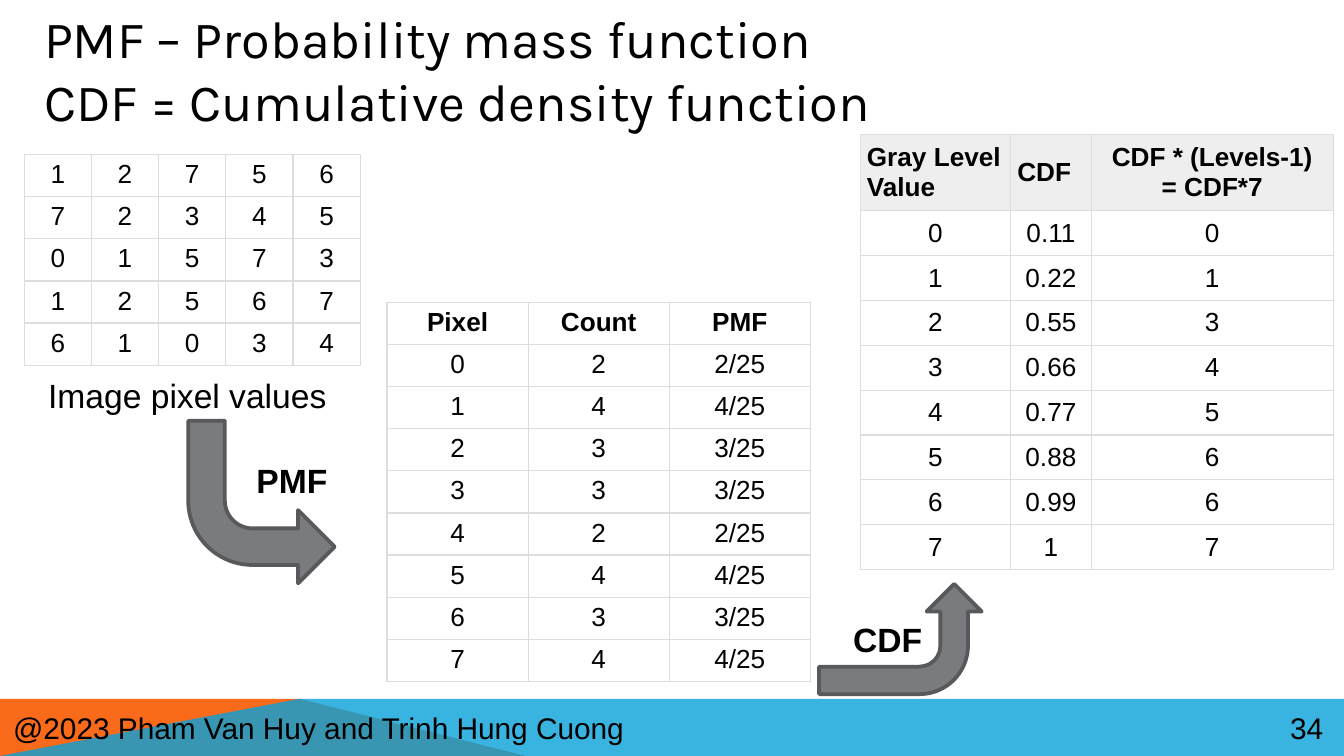
"""Slide: from pixel values to PMF and CDF tables.

Lengths are in steps of a square grid, 100 columns across the slide.
"""
from typing import NamedTuple

from lxml import etree
from pptx import Presentation
from pptx import util as u
from pptx.dml.color import RGBColor
from pptx.enum import shapes, text
from pptx.oxml import ns

STEP = u.Inches(0.1)
COLUMNS, ROWS = 100, 56.25
FOOTER_TOP = 52
ROW_HEIGHT = 3.1
COLORS = {
    "ink": "000000", "paper": "FFFFFF", "header": "EEEEEE", "rule": "DDDDDD",
    "orange": "F96A1B", "blue": "08A1D9", "arrow": "797B7E", "outline": "58595B",
}
LEFT, CENTER, JUSTIFY = text.PP_ALIGN.LEFT, text.PP_ALIGN.CENTER, text.PP_ALIGN.JUSTIFY
TOP, MIDDLE = text.MSO_ANCHOR.TOP, text.MSO_ANCHOR.MIDDLE


class Area(NamedTuple):
    left: float
    top: float
    width: float
    height: float


class Label(NamedTuple):
    words: str
    area: Area
    size: int = 18
    bold: bool = False
    font: str = "Arial"
    anchor: text.MSO_ANCHOR = TOP
    align: text.PP_ALIGN = LEFT


class Grid(NamedTuple):
    left: float
    top: float
    widths: list[float]
    rows: list[list[str]]
    header: list[str] = []
    header_fill: str = "paper"
    header_aligns: tuple = (CENTER, CENTER, CENTER)
    inset: float = 0.4
    anchor: text.MSO_ANCHOR = TOP


class BentArrow(NamedTuple):
    area: Area
    rotation: int


class Band(NamedTuple):
    points: list[tuple[float, float]]
    color: str
    opacity: int = 100


PIXELS = ["12756", "72345", "01573", "12567", "61034"]
COUNTS = [2, 4, 3, 3, 2, 4, 3, 4]
CDF = ["0.11", "0.22", "0.55", "0.66", "0.77", "0.88", "0.99", "1"]
SCALED = [0, 1, 3, 4, 5, 6, 6, 7]

BANDS = [
    Band([(0, ROWS), (0, FOOTER_TOP), (22.3, FOOTER_TOP), (39.1, ROWS)], "orange"),
    Band([(0, ROWS), (22.3, FOOTER_TOP), (COLUMNS, FOOTER_TOP), (COLUMNS, ROWS)], "blue", 80),
]
HEADINGS = [
    Label("@2023 Pham Van Huy and Trinh Hung Cuong", Area(0, 52.3, 48, 3.7), 16, anchor=MIDDLE),
    Label("34", Area(95, 52.3, 4.9, 3.7), 16, anchor=MIDDLE, align=JUSTIFY),
    Label("PMF – Probability mass function\vCDF = Cumulative density function",
          Area(2.3, 2.9, 82.3, 4.5), 28, font="Karla", anchor=MIDDLE),
]
TABLES = [
    Grid(1.8, 11.5, [5] * 5, [list(line) for line in PIXELS]),
    Grid(28.8, 22.5, [10.5] * 3,
         [[str(level), str(count), f"{count}/25"] for level, count in enumerate(COUNTS)],
         header=["Pixel", "Count", "PMF"]),
    Grid(64, 10, [11.2, 6, 18],
         [[str(level), cdf, str(scaled)]
          for level, (cdf, scaled) in enumerate(zip(CDF, SCALED))],
         header=["Gray Level Value", "CDF", "CDF * (Levels-1)\n= CDF*7"],
         header_fill="header", header_aligns=(LEFT, LEFT, CENTER), inset=0.5, anchor=MIDDLE),
]
ARROWS = [
    BentArrow(Area(14, 31.3, 10.9, 12.1), 180),
    BentArrow(Area(62.9, 41.5, 8.2, 12.1), 90),
]
CAPTIONS = [
    Label("Image pixel values", Area(2.6, 27.4, 22.9, 4)),
    Label("PMF", Area(18.1, 33.7, 7.3, 4), bold=True),
    Label("CDF", Area(62.5, 45.6, 8.9, 4), bold=True),
]


def emu(steps: float) -> u.Emu:
    return u.Emu(round(steps * STEP))


def place(area: Area) -> list[u.Emu]:
    return [emu(length) for length in area]


def color(name: str) -> RGBColor:
    return RGBColor.from_string(COLORS[name])


def paint(fill, name: str) -> None:
    fill.solid()
    fill.fore_color.rgb = color(name)


def style_paragraph(para, size: int, bold: bool, align, name: str = "Arial") -> None:
    para.alignment = align
    para.font.size, para.font.bold, para.font.name = u.Pt(size), bold, name
    para.font.color.rgb = color("ink")


def draw_band(slide, band: Band) -> None:
    first, *rest = [(emu(x), emu(y)) for x, y in band.points]
    builder = slide.shapes.build_freeform(*first)
    builder.add_line_segments(rest, close=True)
    shape = builder.convert_to_shape()
    shape.shadow.inherit = False
    shape.line.fill.background()
    paint(shape.fill, band.color)
    if band.opacity < 100:
        tint = shape.fill._xPr.find(".//" + ns.qn("a:srgbClr"))
        etree.SubElement(tint, ns.qn("a:alpha"), val=str(band.opacity * 1000))


def draw_label(slide, label: Label) -> None:
    frame = slide.shapes.add_textbox(*place(label.area)).text_frame
    frame.word_wrap = True
    frame.vertical_anchor = label.anchor
    frame.text = label.words
    style_paragraph(frame.paragraphs[0], label.size, label.bold, label.align, label.font)


def add_borders(cell) -> None:
    """Rule all four sides; the lines must come before the cell's fill."""
    properties = cell._tc.get_or_add_tcPr()
    for index, side in enumerate(("lnL", "lnR", "lnT", "lnB")):
        line = etree.Element(ns.qn(f"a:{side}"), w=str(u.Pt(0.75)))
        solid = etree.SubElement(line, ns.qn("a:solidFill"))
        etree.SubElement(solid, ns.qn("a:srgbClr"), val=COLORS["rule"])
        properties.insert(index, line)


def draw_table(slide, grid: Grid) -> None:
    rows = ([grid.header] if grid.header else []) + grid.rows
    area = Area(grid.left, grid.top, sum(grid.widths), ROW_HEIGHT * len(rows))
    table = slide.shapes.add_table(len(rows), len(grid.widths), *place(area)).table
    table.first_row = bool(grid.header)
    table.horz_banding = False
    for column, width in zip(table.columns, grid.widths):
        column.width = emu(width)
    for r, row in enumerate(rows):
        table.rows[r].height = emu(ROW_HEIGHT)
        is_header = bool(grid.header) and r == 0
        for c, words in enumerate(row):
            cell = table.cell(r, c)
            cell.text = words
            cell.vertical_anchor = grid.anchor
            cell.margin_left = cell.margin_right = emu(grid.inset)
            cell.margin_top = cell.margin_bottom = emu(grid.inset)
            paint(cell.fill, grid.header_fill if is_header else "paper")
            add_borders(cell)
            for para in cell.text_frame.paragraphs:
                style_paragraph(para, 14, is_header,
                                grid.header_aligns[c] if is_header else CENTER)


def draw_arrow(slide, arrow: BentArrow) -> None:
    shape = slide.shapes.add_shape(shapes.MSO_SHAPE.BENT_ARROW, *place(arrow.area))
    shape.shadow.inherit = False
    shape.adjustments[3] = 0.44
    shape.rotation = arrow.rotation
    shape._element.spPr.xfrm.set("flipH", "1")
    paint(shape.fill, "arrow")
    shape.line.color.rgb = color("outline")
    shape.line.width = u.Pt(2)


def main() -> None:
    deck = Presentation()
    deck.slide_width, deck.slide_height = emu(COLUMNS), emu(ROWS)
    slide = deck.slides.add_slide(deck.slide_layouts[6])
    for draw, items in (
        (draw_band, BANDS), (draw_label, HEADINGS), (draw_table, TABLES),
        (draw_arrow, ARROWS), (draw_label, CAPTIONS),
    ):
        for item in items:
            draw(slide, item)
    deck.save("out.pptx")


if __name__ == "__main__":
    main()
